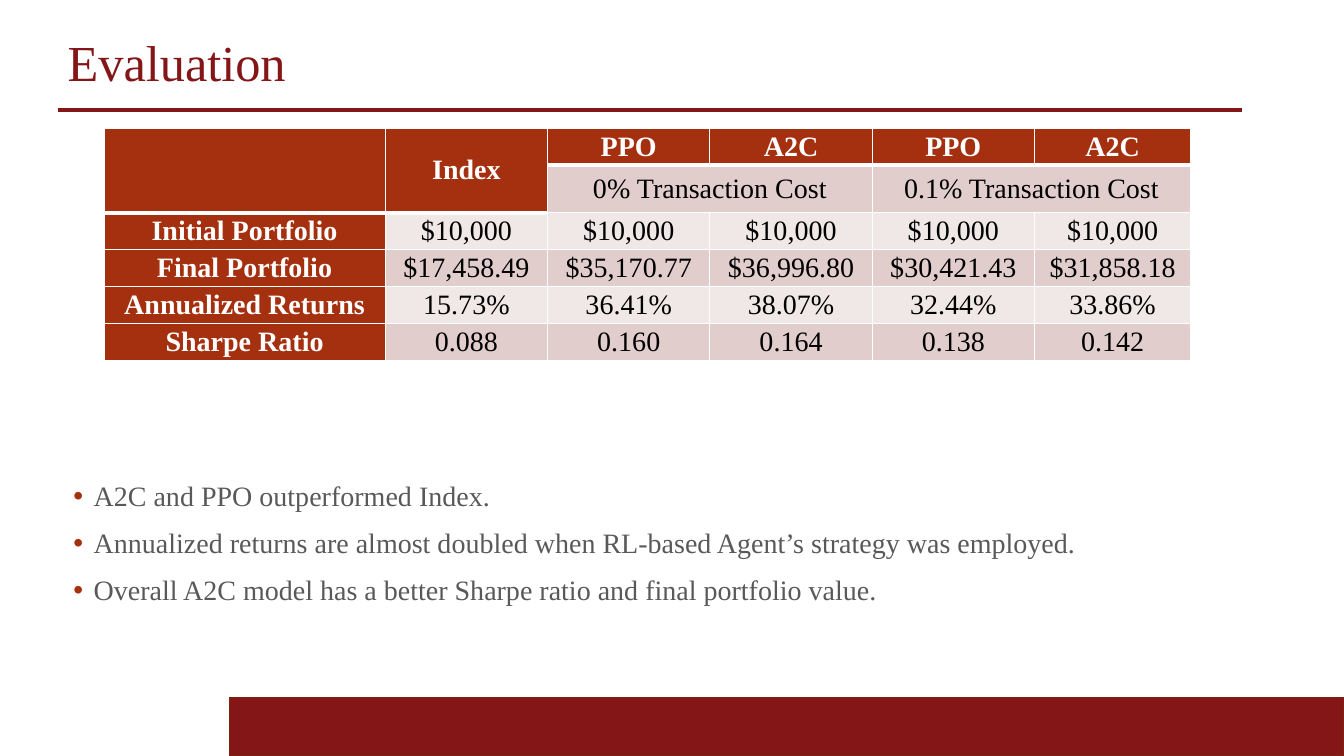
import pptx
import pptx.dml.color
import pptx.enum.shapes
import pptx.enum.text
import pptx.oxml
import pptx.oxml.ns
import pptx.util
from lxml import etree

Cm, Pt = pptx.util.Cm, pptx.util.Pt
PP_ALIGN = pptx.enum.text.PP_ALIGN
MIDDLE = pptx.enum.text.MSO_ANCHOR.MIDDLE
qn = pptx.oxml.ns.qn

COLORS = {
    "crimson": "841617", "edge": "7A240B", "rust": "A5300F",
    "rose": "E1CDCC", "blush": "F0E8E7",
    "white": "FFFFFF", "black": "000000", "gray": "595959",
}


class Deck:
    font = "Times New Roman"

    def __init__(self):
        self.prs = pptx.Presentation()
        self.prs.slide_width, self.prs.slide_height = Cm(33.87), Cm(19.05)
        self.slide = self.prs.slides.add_slide(self.prs.slide_layouts[5])

    def color(self, name):
        return pptx.dml.color.RGBColor.from_string(COLORS[name])

    def format(self, p, size, color, bold=False):
        for r in p.runs:
            r.font.name, r.font.size, r.font.bold = self.font, Pt(size), bold
            r.font.color.rgb = self.color(color)

    def title(self, text, x, y, w, h):
        sp = self.slide.shapes.title
        sp.left, sp.top, sp.width, sp.height = Cm(x), Cm(y), Cm(w), Cm(h)
        tf = sp.text_frame
        tf.text = text
        tf.auto_size = pptx.enum.text.MSO_AUTO_SIZE.NONE
        tf.vertical_anchor = MIDDLE
        p = tf.paragraphs[0]
        p.alignment, p.line_spacing = PP_ALIGN.LEFT, 0.9
        self.format(p, 36, "crimson")

    def band(self, x, y, w, h):
        sp = self.slide.shapes.add_shape(
            pptx.enum.shapes.MSO_SHAPE.RECTANGLE, Cm(x), Cm(y), Cm(w), Cm(h))
        sp.shadow.inherit = False
        sp.fill.solid()
        sp.fill.fore_color.rgb = self.color("crimson")
        sp.line.color.rgb = self.color("edge")
        sp.line.width = Pt(0.85)

    def rule(self, x1, x2, y):
        line = self.slide.shapes.add_connector(
            pptx.enum.shapes.MSO_CONNECTOR.STRAIGHT, Cm(x1), Cm(y), Cm(x2), Cm(y))
        line.line.color.rgb = self.color("crimson")
        line.line.width = Pt(2.5)
        etree.SubElement(line._element.spPr, qn("a:effectLst"))

    def bullets(self, items, x, y, w, h):
        tf = self.slide.shapes.add_textbox(Cm(x), Cm(y), Cm(w), Cm(h)).text_frame
        tf.word_wrap = True
        tf.vertical_anchor = MIDDLE
        tf.text = "\n".join(items)
        for p in tf.paragraphs:
            p.line_spacing, p.space_before = 0.9, Pt(12)
            self.format(p, 20, "gray")
            pPr = p._p.get_or_add_pPr()
            pPr.set("marL", str(Cm(0.51)))
            pPr.set("indent", str(-Cm(0.51)))
            clr = etree.SubElement(pPr, qn("a:buClr"))
            etree.SubElement(clr, qn("a:srgbClr"), val=COLORS["rust"])
            etree.SubElement(pPr, qn("a:buFont"), typeface="Arial")
            etree.SubElement(pPr, qn("a:buChar"), char="•")

    def borders(self, cell, top, bottom):
        tcPr = cell._tc.get_or_add_tcPr()
        for side, width in (("L", 1), ("R", 1), ("T", top), ("B", bottom)):
            ln = etree.SubElement(tcPr, qn("a:ln" + side), w=str(Pt(width)))
            fill = etree.SubElement(ln, qn("a:solidFill"))
            etree.SubElement(fill, qn("a:srgbClr"), val=COLORS["white"])

    def cell(self, cell, text, fill, header, top, bottom, margins):
        self.borders(cell, top, bottom)
        cell.fill.solid()
        cell.fill.fore_color.rgb = self.color(fill)
        cell.vertical_anchor = MIDDLE
        cell.margin_left = cell.margin_right = Cm(margins[0])
        cell.margin_top = cell.margin_bottom = Cm(margins[1])
        cell.text = text
        p = cell.text_frame.paragraphs[0]
        p.alignment = PP_ALIGN.CENTER
        self.format(p, 20, "white" if header else "black", header)

    def table(self, rows, merges, x, y, widths, heights):
        table = self.slide.shapes.add_table(
            len(rows), len(widths), Cm(x), Cm(y),
            Cm(sum(widths)), Cm(sum(heights))).table
        for column, width in zip(table.columns, widths):
            column.width = Cm(width)
        for row, height in zip(table.rows, heights):
            row.height = Cm(height)
        for first, last in merges:
            table.cell(*first).merge(table.cell(*last))

        # The header is one row deep, or two over the first two columns
        for i, row in enumerate(rows):
            for j, text in enumerate(row):
                depth = 2 if j < 2 else 1
                header = i < depth or j == 0
                fill = "rust" if header else ("rose" if i % 2 else "blush")
                cell = table.cell(i, j)
                margins = (0.41, 0.2) if cell.is_merge_origin else (0.3, 0)
                self.cell(cell, text, fill, header,
                          3 if i == depth else 1, 3 if i < depth else 1, margins)


def main():
    deck = Deck()

    # Frame
    deck.band(5.79, 17.58, 28.08, 1.47)
    deck.rule(1.45, 31.29, 2.77)
    deck.title("Evaluation", 1.45, 0.74, 29.74, 1.8)

    # Results table
    rows = [
        ["", "Index", "PPO", "A2C", "PPO", "A2C"],
        ["", "", "0% Transaction Cost", "", "0.1% Transaction Cost", ""],
        ["Initial Portfolio"] + ["$10,000"] * 5,
        ["Final Portfolio", "$17,458.49", "$35,170.77", "$36,996.80",
         "$30,421.43", "$31,858.18"],
        ["Annualized Returns", "15.73%", "36.41%", "38.07%", "32.44%", "33.86%"],
        ["Sharpe Ratio", "0.088", "0.160", "0.164", "0.138", "0.142"],
    ]
    merges = [((0, 0), (1, 0)), ((0, 1), (1, 1)),
              ((1, 2), (1, 3)), ((1, 4), (1, 5))]
    deck.table(rows, merges, 2.62, 3.23,
               [7.09] + [4.09] * 4 + [3.94], [0.93, 1.2] + [0.93] * 4)

    # Findings
    deck.bullets([
        "A2C and PPO outperformed Index.",
        "Annualized returns are almost doubled when RL-based Agent’s strategy was employed.",
        "Overall A2C model has a better Sharpe ratio and final portfolio value.",
    ], 1.6, 10.77, 28.4, 5.92)

    deck.prs.save("out.pptx")


if __name__ == "__main__":
    main()
